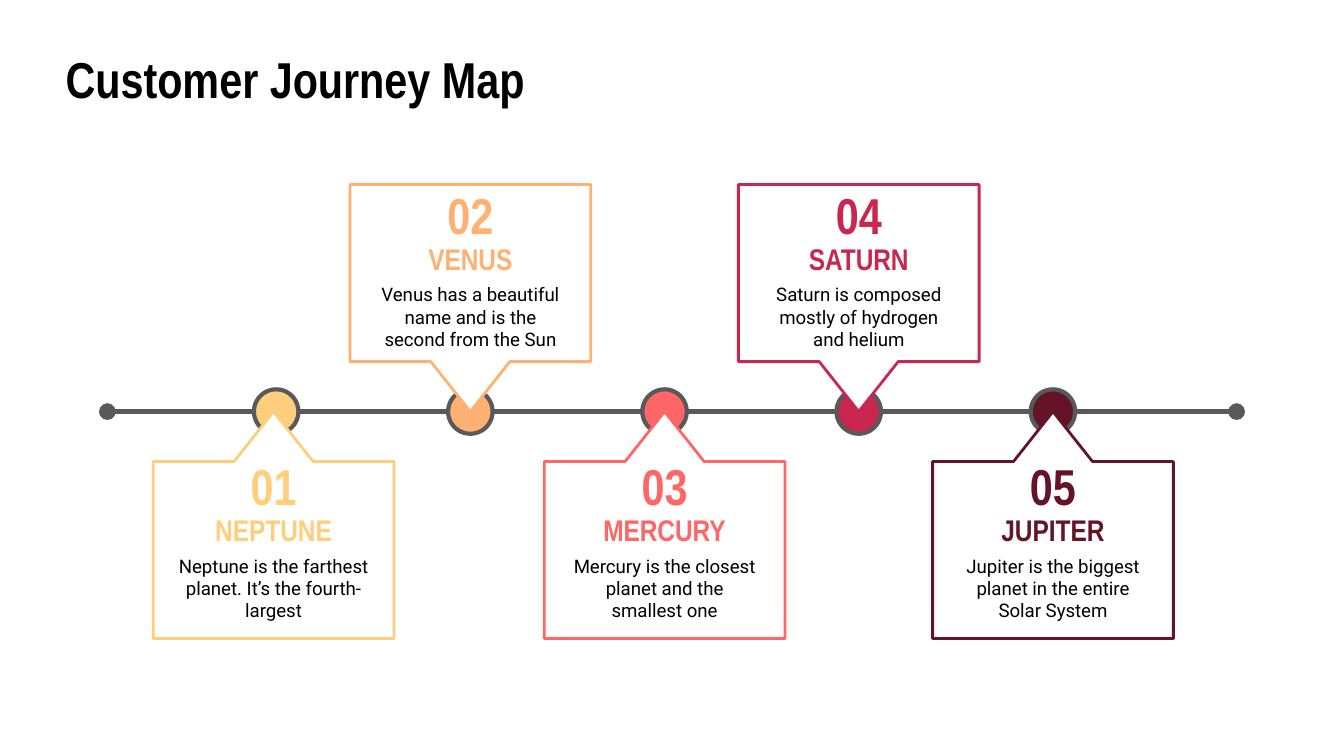
from dataclasses import dataclass

from lxml.etree import SubElement
from pptx import Presentation
from pptx.dml.color import RGBColor
from pptx.enum.shapes import MSO_CONNECTOR, MSO_SHAPE
from pptx.enum.text import MSO_ANCHOR, PP_ALIGN
from pptx.oxml.ns import qn
from pptx.util import Cm, Pt


@dataclass(frozen=True)
class Theme:
    heading_font: str = "Arial Narrow"
    body_font: str = "Roboto"
    title_size: int = 27
    name_size: int = 16
    body_size: int = 10
    ink: str = "000000"
    paper: str = "FFFFFF"
    axis: str = "595959"
    stages: tuple = ("FFCE7D", "FFB174", "FF6666", "C9274F", "651428")


THEME = Theme()

STAGES = [
    ("NEPTUNE", "Neptune is the farthest planet. It’s the fourth-largest"),
    ("VENUS", "Venus has a beautiful name and is the second from the Sun"),
    ("MERCURY", "Mercury is the closest planet and the smallest one"),
    ("SATURN", "Saturn is composed mostly of hydrogen and helium"),
    ("JUPITER", "Jupiter is the biggest planet in the entire Solar System"),
]

# Lengths in centimetres
AXIS_Y = 7.78
AXIS_START, AXIS_END = 2.03, 23.37
FIRST_X, STEP = 5.22, 3.67
FIRST_CARD_SHIFT = -0.05
DOT = 0.84
CARD_W, CARD_H = 4.55, 4.29
TEXT_W = 4.14
INSET = 0.25
TEXT_TOP_ABOVE, TEXT_TOP_BELOW = 3.23, 8.36
CALLOUT_ADJUSTMENTS = (0.348, 0.174, 0.22, 0.799)


def apply(obj, values):
    for name, value in values.items():
        setattr(obj, name, value)


def rgb(color):
    return RGBColor.from_string(color)


def add_label(shapes, text, box, size, color, font=THEME.heading_font, bold=True,
              align=PP_ALIGN.CENTER, anchor=MSO_ANCHOR.TOP):
    """Add one line or paragraph of text in box (left, top, width, height)."""
    tf = shapes.add_textbox(*map(Cm, box)).text_frame
    apply(tf, {"word_wrap": True, "vertical_anchor": anchor,
               "margin_left": Cm(INSET), "margin_right": Cm(INSET),
               "margin_top": Cm(INSET), "margin_bottom": Cm(INSET)})
    p = tf.paragraphs[0]
    p.alignment = align
    r = p.add_run()
    r.text = text
    apply(r.font, {"name": font, "size": Pt(size), "bold": bold})
    r.font.color.rgb = rgb(color)


def add_outlined(shapes, kind, box, fill, line, weight):
    s = shapes.add_shape(kind, *map(Cm, box))
    s.shadow.inherit = False
    s.fill.solid()
    s.fill.fore_color.rgb = rgb(fill)
    s.line.color.rgb = rgb(line)
    s.line.width = Pt(weight)
    return s


def add_axis(shapes):
    c = shapes.add_connector(MSO_CONNECTOR.STRAIGHT, Cm(AXIS_START), Cm(AXIS_Y),
                             Cm(AXIS_END), Cm(AXIS_Y))
    c.line.color.rgb = rgb(THEME.axis)
    c.line.width = Pt(3)
    ln = c.line._get_or_add_ln()
    for end in ("a:headEnd", "a:tailEnd"):
        SubElement(ln, qn(end), type="oval")
    SubElement(c._element.spPr, qn("a:effectLst"))


def add_dot(shapes, x, color):
    box = (x - DOT / 2, AXIS_Y - DOT / 2, DOT, DOT)
    add_outlined(shapes, MSO_SHAPE.OVAL, box, color, THEME.axis, 2.25)


def add_card(shapes, x, above, number, name, body, color):
    """Add a callout centred on x whose tip touches the axis."""
    top = AXIS_Y - CARD_H if above else AXIS_Y
    callout = add_outlined(shapes, MSO_SHAPE.DOWN_ARROW_CALLOUT,
                           (x - CARD_W / 2, top, CARD_W, CARD_H),
                           THEME.paper, color, 1.5)
    callout.rotation = 0 if above else 180
    for i, value in enumerate(CALLOUT_ADJUSTMENTS):
        callout.adjustments[i] = value

    left = x - TEXT_W / 2
    top = TEXT_TOP_ABOVE if above else TEXT_TOP_BELOW
    group = shapes.add_group_shape().shapes
    add_label(group, body, (left, top + 2.03, TEXT_W, 1.45), THEME.body_size,
              THEME.ink, THEME.body_font, bold=False, anchor=MSO_ANCHOR.MIDDLE)
    add_label(group, number, (left, top, TEXT_W, 1.07), THEME.title_size, color)
    add_label(group, name, (left, top + 1.27, TEXT_W, 0.76), THEME.name_size,
              color, anchor=MSO_ANCHOR.MIDDLE)


def main():
    prs = Presentation()
    apply(prs, {"slide_width": Cm(25.4), "slide_height": Cm(14.29)})
    shapes = prs.slides.add_slide(prs.slide_layouts[6]).shapes

    add_label(shapes, "Customer Journey Map", (0.99, 0.66, 11.4, 1.57),
              THEME.title_size, THEME.ink, align=PP_ALIGN.LEFT)
    add_axis(shapes)
    centers = [FIRST_X + i * STEP for i in range(len(STAGES))]
    for x, color in zip(centers, THEME.stages):
        add_dot(shapes, x, color)
    for i, (x, color, (name, body)) in enumerate(zip(centers, THEME.stages, STAGES)):
        shift = FIRST_CARD_SHIFT if i == 0 else 0
        add_card(shapes, x + shift, i % 2 == 1, f"{i + 1:02}", name, body, color)

    prs.save("out.pptx")


if __name__ == "__main__":
    main()
